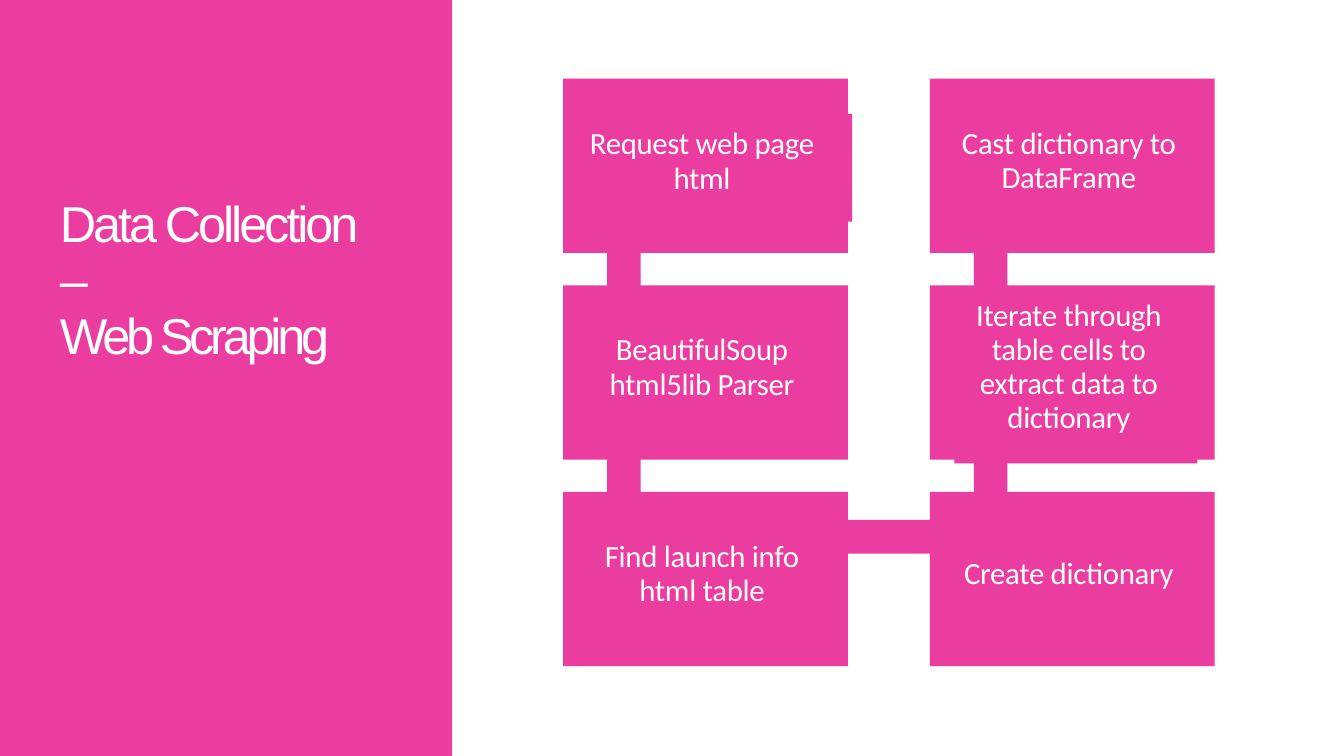
from pptx import Presentation
from pptx.dml.color import RGBColor
from pptx.enum.shapes import MSO_SHAPE
from pptx.enum.text import MSO_ANCHOR, MSO_AUTO_SIZE, PP_ALIGN
from pptx.util import Pt

RECTANGLE = MSO_SHAPE.RECTANGLE
TOP, MIDDLE = MSO_ANCHOR.TOP, MSO_ANCHOR.MIDDLE
LEFT, CENTER = PP_ALIGN.LEFT, PP_ALIGN.CENTER
NO_AUTOFIT = MSO_AUTO_SIZE.NONE

COLORS = {"pink": "EB3D9F", "white": "FFFFFF"}
SLIDE_WIDTH, SLIDE_HEIGHT = 960, 540
PANEL_WIDTH = 323
STEP_LEFT, STEP_TOP = 402.3, 56.2
STEP_WIDTH, STEP_HEIGHT = 203.4, 124.5
COLUMN_PITCH, ROW_PITCH = 262, 147.6
BAR = 24

TITLE_FORMAT = {"name": "Arial", "size": Pt(36), "bold": False}
STEP_FORMAT = {"name": "Calibri", "size": Pt(22), "bold": False}
TITLE_FRAME = {"margin_left": 0, "margin_right": 0, "margin_top": Pt(1), "margin_bottom": 0,
               "vertical_anchor": TOP, "word_wrap": True, "auto_size": NO_AUTOFIT}
STEP_FRAME = {"margin_left": 0, "margin_right": Pt(5), "margin_top": 0, "margin_bottom": Pt(8),
              "vertical_anchor": MIDDLE, "word_wrap": True, "auto_size": NO_AUTOFIT}

TITLE = [("Data Collection\v–", -2.2), ("Web Scraping", -3)]
STEPS = [
    (0, 0, ["Request web page", "html"], 25.2),
    (0, 1, ["BeautifulSoup", "html5lib Parser"], 25.2),
    (0, 2, ["Find launch info\vhtml table"], 24.3),
    (1, 2, ["Create dictionary"], 24.3),
    (1, 1, ["Iterate through\vtable cells to\vextract data to\vdictionary"], 24.3),
    (1, 0, ["Cast dictionary to\vDataFrame"], 24.3),
]
STEP_EDGES = [(404.6, 81.4, 204.2, 77), (681.8, 205.2, 173.5, 125.8)]


def apply(target, values):
    """Set each named value on the target."""
    for name, value in values.items():
        setattr(target, name, value)


def add_block(slide, left, top, width, height):
    """Add a plain pink rectangle."""
    block = slide.shapes.add_shape(RECTANGLE, Pt(left), Pt(top), Pt(width), Pt(height))
    block.shadow.inherit = False
    block.fill.solid()
    block.fill.fore_color.rgb = RGBColor.from_string(COLORS["pink"])
    block.line.fill.background()
    return block


def write_lines(frame, lines, frame_format, font_format, alignment, leading):
    """Fill a text frame with paragraphs given as text and letter spacing."""
    apply(frame, frame_format)
    frame.text = "\n".join(text for text, _ in lines)
    for paragraph, (_, spacing) in zip(frame.paragraphs, lines):
        apply(paragraph, {"alignment": alignment, "line_spacing": Pt(leading),
                          "space_before": Pt(0), "space_after": Pt(0)})
        for run in paragraph.runs:
            apply(run.font, font_format)
            run.font.color.rgb = RGBColor.from_string(COLORS["white"])
            run._r.get_or_add_rPr().set("spc", str(round(spacing * 100)))


def add_title(slide):
    """Place the title on the pink side panel."""
    panel = add_block(slide, 0, 0, PANEL_WIDTH, SLIDE_HEIGHT)
    title = slide.shapes.title
    title._element.addprevious(panel._element)
    apply(title, {"left": Pt(42.8), "top": Pt(139), "width": Pt(238), "height": Pt(124)})
    write_lines(title.text_frame, TITLE, TITLE_FRAME, TITLE_FORMAT, LEFT, 40.1)


def step_corner(column, row):
    """Return the left and top of a step in the grid."""
    return STEP_LEFT + column * COLUMN_PITCH, STEP_TOP + row * ROW_PITCH


def add_bars(slide):
    """Link the steps down the left column, across and up the right one."""
    for column in range(2):
        for row in range(2):
            left, top = step_corner(column, row)
            add_block(slide, left + 31.3, top + 30, BAR, ROW_PITCH + 5)
    left, top = step_corner(0, 2)
    add_block(slide, left + 40.5, top + 20, COLUMN_PITCH + 5, BAR)


def add_step(slide, column, row, lines, leading):
    """Add one step of the process with its text."""
    step = add_block(slide, *step_corner(column, row), STEP_WIDTH, STEP_HEIGHT)
    spaced_lines = [(line, -0.2) for line in lines]
    write_lines(step.text_frame, spaced_lines, STEP_FRAME, STEP_FORMAT, CENTER, leading)


def main():
    """Build the slide and save it."""
    deck = Presentation()
    apply(deck, {"slide_width": Pt(SLIDE_WIDTH), "slide_height": Pt(SLIDE_HEIGHT)})
    slide = deck.slides.add_slide(deck.slide_layouts[5])
    add_title(slide)
    add_bars(slide)
    for edge in STEP_EDGES:
        add_block(slide, *edge)
    for step in STEPS:
        add_step(slide, *step)
    deck.save("out.pptx")


if __name__ == "__main__":
    main()
